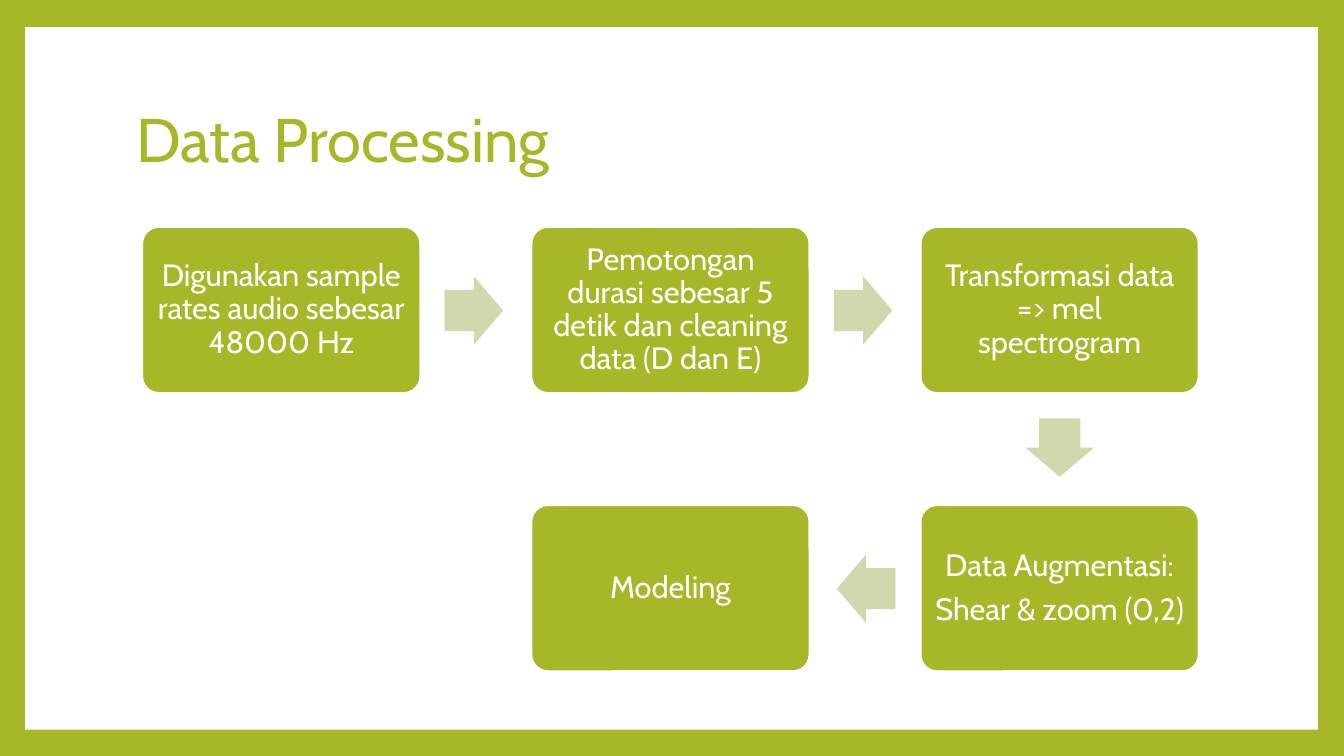
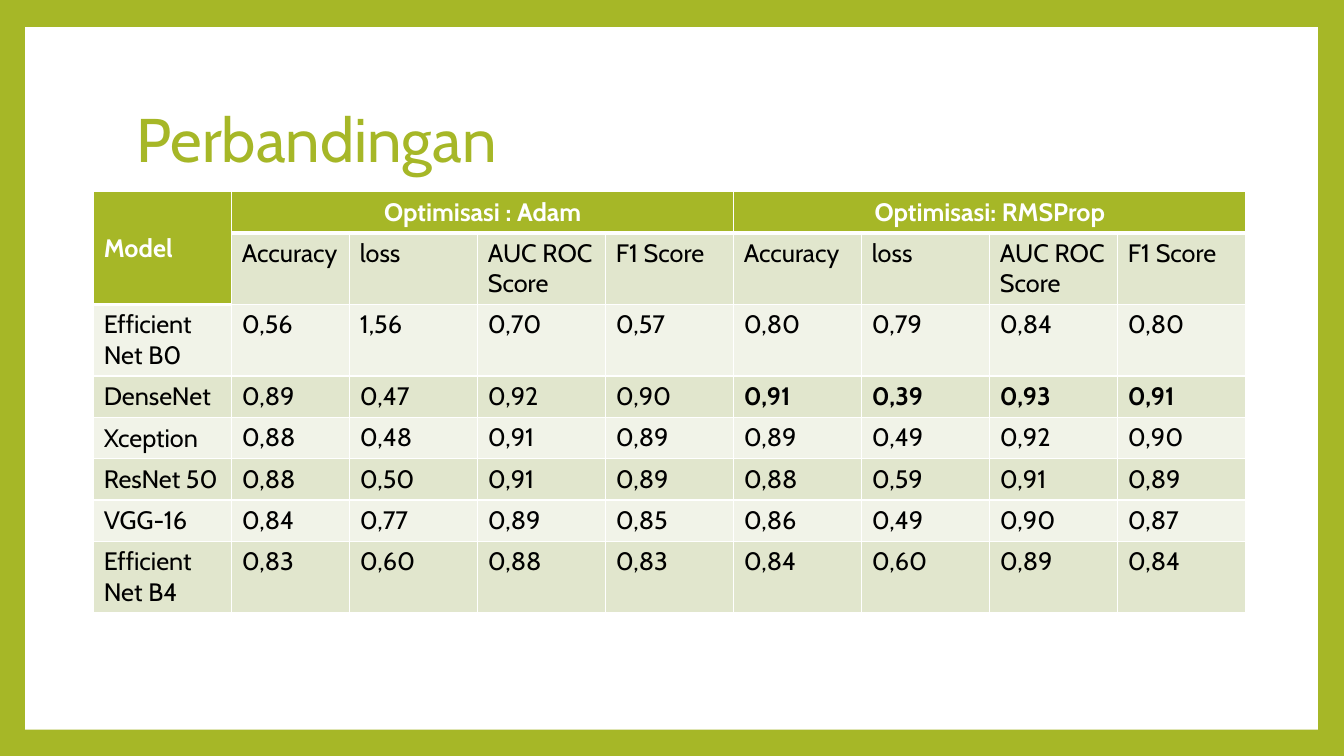
from dataclasses import dataclass

from lxml.etree import SubElement
from pptx import Presentation
from pptx.dml.color import RGBColor
from pptx.dml.fill import FillFormat
from pptx.enum.shapes import MSO_SHAPE
from pptx.enum.text import MSO_ANCHOR, MSO_AUTO_SIZE, PP_ALIGN
from pptx.oxml.ns import qn
from pptx.presentation import Presentation as Deck
from pptx.slide import Slide
from pptx.table import _Cell as Cell
from pptx.text.text import _Paragraph as Paragraph
from pptx.util import Inches, Pt

FONT = "Cabin"
GREEN = "A6B727"
PALE_GREEN = "D0D8AD"
BAND_DARK = "E1E6CD"
BAND_LIGHT = "F1F3E8"
WHITE = "FFFFFF"
BLACK = "000000"

STEP_LEFT, STEP_TOP = 1.41, 2.25
STEP_WIDTH, STEP_HEIGHT = 2.76, 1.65
COLUMN_PITCH, ROW_PITCH = 3.86, 2.76
ARROW_WIDTH, ARROW_HEIGHT = 0.58, 0.68


@dataclass(frozen=True)
class Step:
    column: int
    row: int
    lines: tuple[str, ...]


@dataclass(frozen=True)
class Arrow:
    left: float
    top: float
    rotation: int = 0


@dataclass(frozen=True)
class Result:
    model: str
    adam: tuple[str, ...]
    rmsprop: tuple[str, ...]
    best: bool = False


STEPS = (
    Step(0, 0, ("Digunakan sample rates audio sebesar 48000 Hz",)),
    Step(1, 0, ("Pemotongan durasi sebesar 5 detik dan cleaning data (D dan E)",)),
    Step(2, 0, ("Transformasi data => mel spectrogram",)),
    Step(2, 1, ("Data Augmentasi:", "Shear & zoom (0,2)")),
    Step(1, 1, ("Modeling",)),
)
ARROWS = (
    Arrow(4.41, 2.74),
    Arrow(8.27, 2.74),
    Arrow(10.22, 4.1, 90),
    Arrow(8.3, 5.5, 180),
)
METRICS = ("Accuracy", "loss", "AUC ROC Score", "F1 Score")
RESULTS = (
    Result("Efficient Net B0", ("0,56", "1,56", "0,70", "0,57"), ("0,80", "0,79", "0,84", "0,80")),
    Result("DenseNet", ("0,89", "0,47", "0,92", "0,90"), ("0,91", "0,39", "0,93", "0,91"), True),
    Result("Xception", ("0,88", "0,48", "0,91", "0,89"), ("0,89", "0,49", "0,92", "0,90")),
    Result("ResNet 50", ("0,88", "0,50", "0,91", "0,89"), ("0,88", "0,59", "0,91", "0,89")),
    Result("VGG-16", ("0,84", "0,77", "0,89", "0,85"), ("0,86", "0,49", "0,90", "0,87")),
    Result("Efficient Net B4", ("0,83", "0,60", "0,88", "0,83"), ("0,84", "0,60", "0,89", "0,84")),
)


def paint(fill: FillFormat, color: str) -> None:
    fill.solid()
    fill.fore_color.rgb = RGBColor.from_string(color)


def style_text(paragraph: Paragraph, size: int, color: str, bold: bool = False) -> None:
    paragraph.font.name = FONT
    paragraph.font.size = Pt(size)
    paragraph.font.bold = bold
    paragraph.font.color.rgb = RGBColor.from_string(color)


def add_page(deck: Deck, heading: str) -> Slide:
    page = deck.slides.add_slide(deck.slide_layouts[5])
    title = page.shapes.title
    title.left, title.top = Inches(1.25), Inches(0.67)
    title.width, title.height = Inches(10.8), Inches(1.48)
    frame = title.text_frame
    frame.text = heading
    frame.auto_size = MSO_AUTO_SIZE.NONE
    frame.vertical_anchor = MSO_ANCHOR.MIDDLE
    para = frame.paragraphs[0]
    para.alignment = PP_ALIGN.LEFT
    para.line_spacing = 0.9
    style_text(para, 44, GREEN)

    panel = page.shapes.add_shape(
        MSO_SHAPE.RECTANGLE, Inches(0.25), Inches(0.27), Inches(12.82), Inches(6.97)
    )
    panel.shadow.inherit = False
    paint(panel.fill, WHITE)
    panel.line.fill.background()
    title.element.addprevious(panel.element)
    return page


def add_step(page: Slide, step: Step) -> None:
    box = page.shapes.add_shape(
        MSO_SHAPE.ROUNDED_RECTANGLE,
        Inches(STEP_LEFT + step.column * COLUMN_PITCH),
        Inches(STEP_TOP + step.row * ROW_PITCH),
        Inches(STEP_WIDTH),
        Inches(STEP_HEIGHT),
    )
    box.adjustments[0] = 0.1
    box.shadow.inherit = False
    paint(box.fill, GREEN)
    paint(box.line.fill, WHITE)
    box.line.width = Pt(1.5)
    frame = box.text_frame
    frame.word_wrap = True
    frame.vertical_anchor = MSO_ANCHOR.MIDDLE
    frame.margin_left = frame.margin_right = Inches(0.09)
    frame.margin_top = frame.margin_bottom = Inches(0.09)
    frame.text = "\n".join(step.lines)
    for para in frame.paragraphs:
        para.alignment = PP_ALIGN.CENTER
        para.line_spacing = 0.9
        para.space_after = Pt(7.7)
        style_text(para, 22, WHITE)


def add_arrow(page: Slide, arrow: Arrow) -> None:
    shape = page.shapes.add_shape(
        MSO_SHAPE.RIGHT_ARROW,
        Inches(arrow.left),
        Inches(arrow.top),
        Inches(ARROW_WIDTH),
        Inches(ARROW_HEIGHT),
    )
    shape.adjustments[0] = 0.6
    shape.adjustments[1] = 0.5
    shape.rotation = arrow.rotation
    shape.shadow.inherit = False
    paint(shape.fill, PALE_GREEN)
    shape.line.fill.background()


def set_borders(cell: Cell, top: int, bottom: int) -> None:
    properties = cell._tc.get_or_add_tcPr()
    for side, width in (("L", 1), ("R", 1), ("T", top), ("B", bottom)):
        line = SubElement(properties, qn(f"a:ln{side}"), w=str(Pt(width)))
        color = SubElement(SubElement(line, qn("a:solidFill")), qn("a:srgbClr"))
        color.set("val", WHITE)


def add_results_table(page: Slide) -> None:
    rows = [
        ("Model", "Optimisasi : Adam", "", "", "", "Optimisasi: RMSProp", "", "", ""),
        ("", *METRICS, *METRICS),
        *((result.model, *result.adam, *result.rmsprop) for result in RESULTS),
    ]
    widths = (1.37, 1.17, *[1.27] * 7)
    table = page.shapes.add_table(
        len(rows), len(widths), Inches(0.93), Inches(1.9), Inches(11.45), Inches(0.41 * len(rows))
    ).table
    table.first_row = False
    table.horz_banding = False
    for column, width in zip(table.columns, widths):
        column.width = Inches(width)
    for row in table.rows:
        row.height = Inches(0.41)

    for row_index, texts in enumerate(rows):
        for column_index, text in enumerate(texts):
            cell = table.cell(row_index, column_index)
            is_model = column_index == 0
            header_rows = 2 if is_model else 1
            is_header = row_index < header_rows
            set_borders(
                cell,
                top=3 if row_index == header_rows else 1,
                bottom=3 if row_index == header_rows - 1 else 1,
            )
            band = BAND_DARK if row_index % 2 else BAND_LIGHT
            paint(cell.fill, GREEN if is_header else band)
            cell.vertical_anchor = MSO_ANCHOR.MIDDLE if is_header or is_model else MSO_ANCHOR.TOP
            cell.text = text
            para = cell.text_frame.paragraphs[0]
            if is_header and not is_model:
                para.alignment = PP_ALIGN.CENTER
            is_best = row_index >= 2 and column_index >= 5 and RESULTS[row_index - 2].best
            style_text(para, 18, WHITE if is_header else BLACK, is_header or is_best)

    table.cell(0, 0).merge(table.cell(1, 0))
    for first in (1, 5):
        table.cell(0, first).merge(table.cell(0, first + len(METRICS) - 1))


def main() -> None:
    deck = Presentation()
    deck.slide_width, deck.slide_height = Inches(13.33), Inches(7.5)
    paint(deck.slide_master.background.fill, GREEN)

    processing = add_page(deck, "Data Processing")
    for step in STEPS:
        add_step(processing, step)
    for arrow in ARROWS:
        add_arrow(processing, arrow)

    add_results_table(add_page(deck, "Perbandingan"))
    deck.save("out.pptx")


if __name__ == "__main__":
    main()
